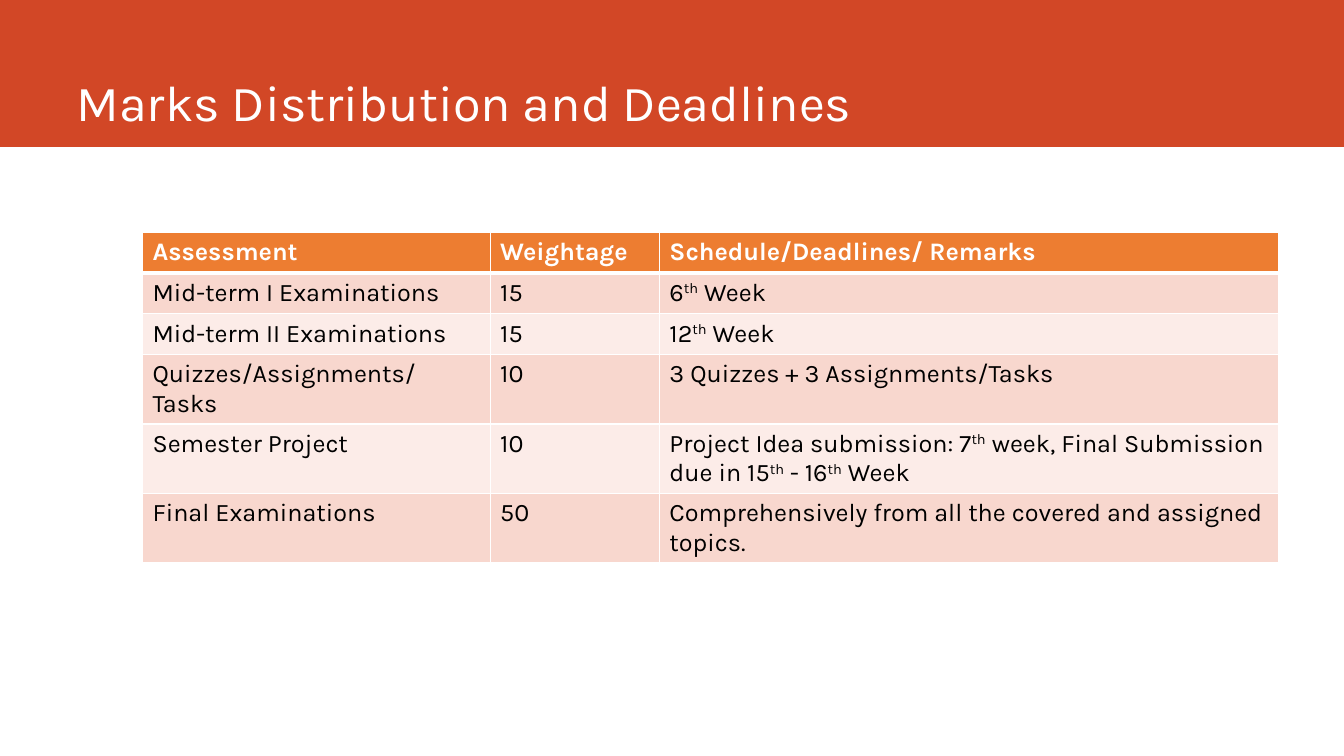
from dataclasses import dataclass

from lxml import etree
from pptx import Presentation
from pptx.dml.color import RGBColor
from pptx.enum.shapes import MSO_SHAPE
from pptx.enum.text import MSO_ANCHOR, MSO_AUTO_SIZE, PP_ALIGN
from pptx.oxml.ns import qn
from pptx.util import Pt

RECTANGLE = MSO_SHAPE.RECTANGLE
BOTTOM = MSO_ANCHOR.BOTTOM
NO_AUTOFIT = MSO_AUTO_SIZE.NONE
LEFT = PP_ALIGN.LEFT
TITLE_ONLY_LAYOUT = 5


@dataclass(frozen=True)
class Theme:
    font: str = "Karla"
    title_size: float = 36
    table_size: float = 18
    band: str = "D24726"
    header: str = "ED7D31"
    odd_row: str = "F8D7CE"
    even_row: str = "FCECE8"
    light: str = "FFFFFF"
    dark: str = "000000"


THEME = Theme()

SLIDE_WIDTH, SLIDE_HEIGHT = 960, 540
BAND_BOX = (0, 0, SLIDE_WIDTH, 105)
TABLE_BOX = (101.8, 165.8, 811.9, 175.2)
COLUMN_SHARES = (3.45, 1.68, 6.15)

# Text between carets is superscript
MARKS = [
    ("Assessment", "Weightage", "Schedule/Deadlines/ Remarks"),
    ("Mid-term I Examinations", "15", "6^th^ Week"),
    ("Mid-term II Examinations", "15", "12^th^ Week"),
    ("Quizzes/Assignments/Tasks", "10", "3 Quizzes + 3 Assignments/Tasks"),
    ("Semester Project", "10",
     "Project Idea submission: 7^th^ week, Final Submission due in 15^th^ - 16^th^ Week"),
    ("Final Examinations", "50",
     "Comprehensively from all the covered and assigned topics."),
]


def add_runs(paragraph, text, size, color, bold=False):
    for index, piece in enumerate(text.split("^")):
        run = paragraph.add_run()
        run.text = piece
        run.font.name = THEME.font
        run.font.size = Pt(size)
        run.font.bold = bold
        run.font.color.rgb = RGBColor.from_string(color)
        if index % 2:
            run.font._element.set("baseline", "30000")


def set_borders(cell, top, bottom):
    properties = cell._tc.get_or_add_tcPr()
    for side, width in (("L", 1), ("R", 1), ("T", top), ("B", bottom)):
        line = etree.SubElement(properties, qn(f"a:ln{side}"), w=str(Pt(width)))
        fill = etree.SubElement(line, qn("a:solidFill"))
        etree.SubElement(fill, qn("a:srgbClr"), val=THEME.light)


def add_title_band(slide, box, text):
    left, top, width, height = box
    title = slide.shapes.title

    # Coloured band behind the title
    band = slide.shapes.add_shape(
        RECTANGLE, Pt(left), Pt(top), Pt(width), Pt(height))
    band.shadow.inherit = False
    band.fill.solid()
    band.fill.fore_color.rgb = RGBColor.from_string(THEME.band)
    band.line.fill.background()
    title.element.addprevious(band.element)

    # Title text
    title.left, title.top = Pt(left + 47.5), Pt(top)
    title.width, title.height = Pt(width - 113), Pt(height - 10)
    frame = title.text_frame
    frame.auto_size = NO_AUTOFIT
    frame.word_wrap = True
    frame.vertical_anchor = BOTTOM
    frame.margin_bottom = Pt(1)
    paragraph = frame.paragraphs[0]
    paragraph.alignment = LEFT
    add_runs(paragraph, text, THEME.title_size, THEME.light)


def add_marks_table(slide, box, rows):
    left, top, width, height = box
    table = slide.shapes.add_table(
        len(rows), len(COLUMN_SHARES),
        Pt(left), Pt(top), Pt(width), Pt(height)).table
    for column, share in zip(table.columns, COLUMN_SHARES):
        column.width = Pt(width * share / sum(COLUMN_SHARES))

    for row_index, texts in enumerate(rows):
        table.rows[row_index].height = Pt(height / len(rows))
        is_header = row_index == 0
        if is_header:
            fill, color = THEME.header, THEME.light
        else:
            fill = THEME.odd_row if row_index % 2 else THEME.even_row
            color = THEME.dark
        for column_index, text in enumerate(texts):
            cell = table.cell(row_index, column_index)
            set_borders(cell, top=3 if row_index == 1 else 1,
                        bottom=3 if is_header else 1)
            cell.fill.solid()
            cell.fill.fore_color.rgb = RGBColor.from_string(fill)
            add_runs(cell.text_frame.paragraphs[0], text,
                     THEME.table_size, color, bold=is_header)


def main():
    presentation = Presentation()
    presentation.slide_width = Pt(SLIDE_WIDTH)
    presentation.slide_height = Pt(SLIDE_HEIGHT)
    slide = presentation.slides.add_slide(
        presentation.slide_layouts[TITLE_ONLY_LAYOUT])
    add_title_band(slide, BAND_BOX, "Marks Distribution and Deadlines")
    add_marks_table(slide, TABLE_BOX, MARKS)
    presentation.save("out.pptx")


if __name__ == "__main__":
    main()
